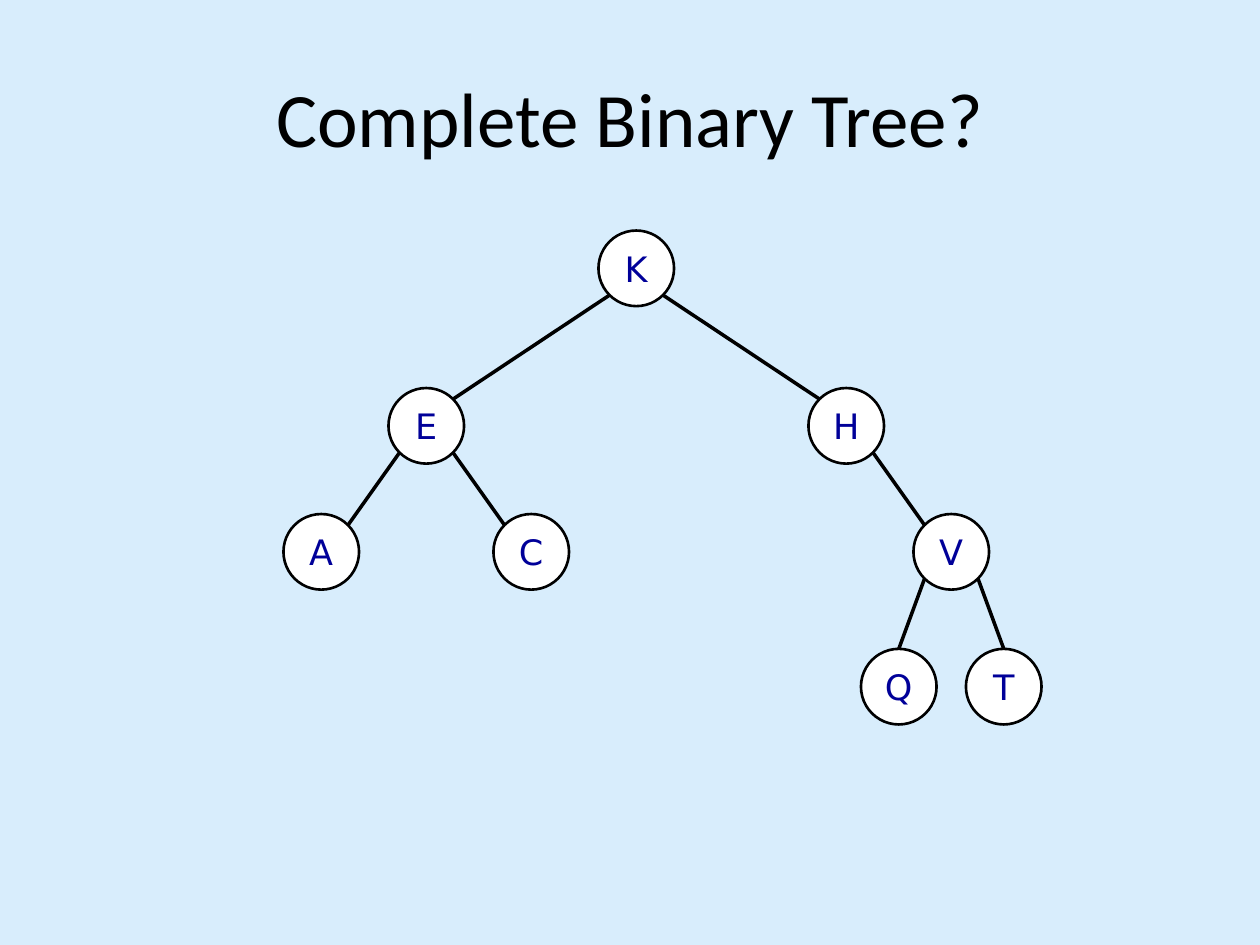
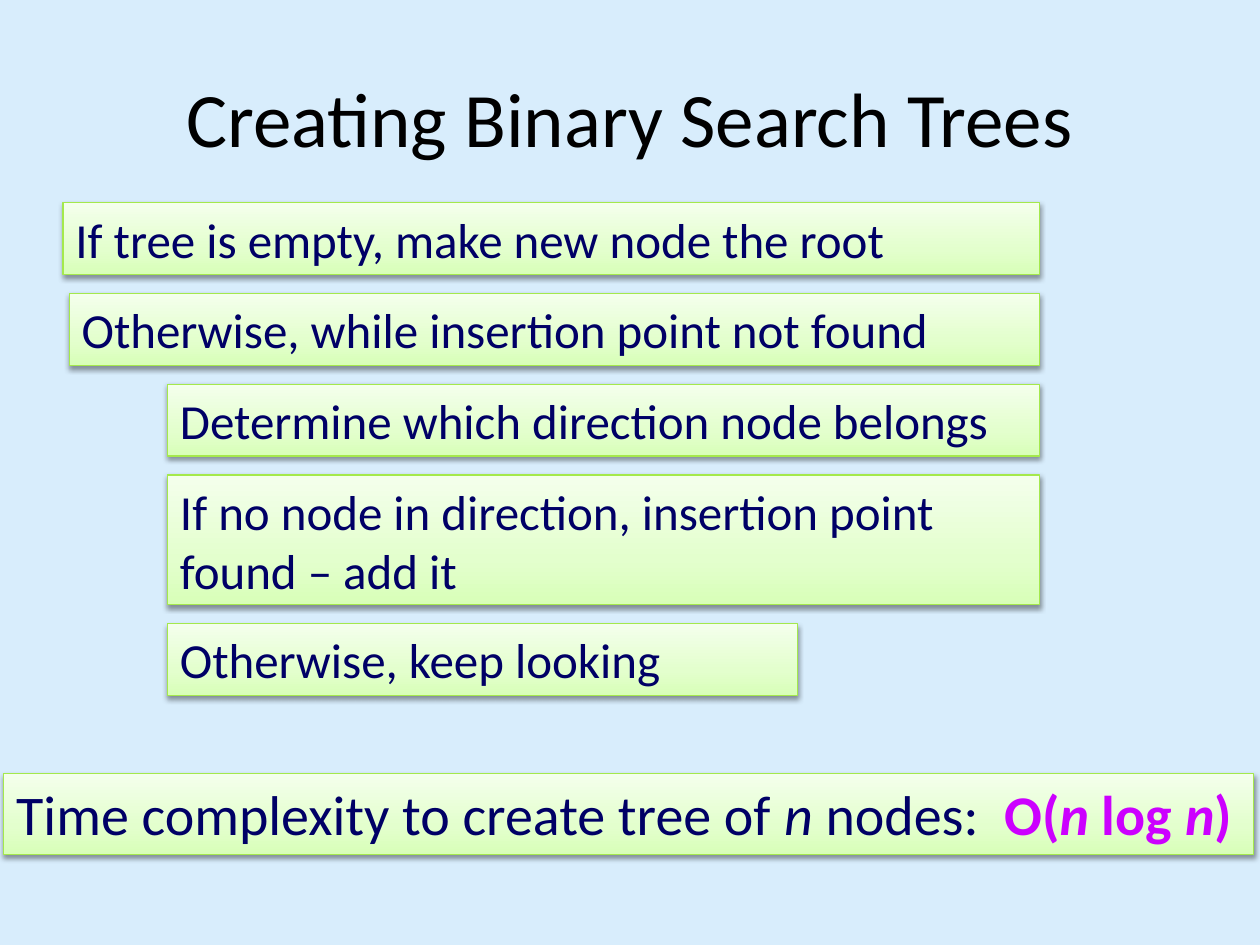
"""Build two slides on binary trees: a sample tree and the steps that create a search tree."""
from lxml.etree import SubElement
from pptx import Presentation
from pptx.dml.color import RGBColor
from pptx.enum.shapes import MSO_CONNECTOR, MSO_SHAPE
from pptx.enum.text import MSO_ANCHOR, MSO_AUTO_SIZE, PP_ALIGN
from pptx.oxml.ns import qn
from pptx.util import Inches, Pt

SKY = RGBColor(0xD8, 0xED, 0xFC)
BLACK = RGBColor(0x00, 0x00, 0x00)
WHITE = RGBColor(0xFF, 0xFF, 0xFF)
BLUE = RGBColor(0x00, 0x00, 0x99)
NAVY = RGBColor(0x00, 0x00, 0x66)
MAGENTA = RGBColor(0xCC, 0x00, 0xFF)
LIME = RGBColor(0xA4, 0xE9, 0x4C)
GREEN_STOPS = [
    (0, RGBColor(0xD8, 0xFF, 0xB8)),
    (35, RGBColor(0xE3, 0xFF, 0xCD)),
    (100, RGBColor(0xF4, 0xFF, 0xEC)),
]
TEXT_FONT = "Calibri"
NODE_FONT = "DejaVu Sans"

deck = Presentation()
deck.slide_width = Inches(10)
deck.slide_height = Inches(7.5)


def add_page(title):
    """Add a slide with the shared background and title."""
    page = deck.slides.add_slide(deck.slide_layouts[6])
    page.background.fill.solid()
    page.background.fill.fore_color.rgb = SKY
    box = page.shapes.add_textbox(Inches(0.5), Inches(0.3), Inches(9), Inches(1.25))
    frame = box.text_frame
    frame.word_wrap = True
    frame.vertical_anchor = MSO_ANCHOR.MIDDLE
    frame.text = title
    para = frame.paragraphs[0]
    para.alignment = PP_ALIGN.CENTER
    para.font.name = TEXT_FONT
    para.font.size = Pt(44)
    para.font.color.rgb = BLACK
    return page


def add_step(page, left, top, width, height, size, spans):
    """Add a green box whose spans are (text, italic, highlighted)."""
    box = page.shapes.add_shape(
        MSO_SHAPE.RECTANGLE, Inches(left), Inches(top), Inches(width), Inches(height))
    box.fill.gradient()
    box.fill.gradient_angle = 90
    stops = box.fill._fill._gradFill.find(qn("a:gsLst"))
    for stop in list(stops):
        stops.remove(stop)
    for percent, color in GREEN_STOPS:
        stop = SubElement(stops, qn("a:gs"), pos=str(percent * 1000))
        SubElement(stop, qn("a:srgbClr"), val=str(color))
    box.line.color.rgb = LIME
    box.line.width = Pt(0.75)
    box.shadow.inherit = False
    effects = box._element.spPr.find(qn("a:effectLst"))
    shadow = SubElement(effects, qn("a:outerShdw"), blurRad=str(Pt(3.1)),
                        dist=str(Pt(1.6)), dir="5400000", rotWithShape="0")
    shade = SubElement(shadow, qn("a:srgbClr"), val=str(BLACK))
    SubElement(shade, qn("a:alpha"), val="38000")
    frame = box.text_frame
    frame.word_wrap = True
    frame.auto_size = MSO_AUTO_SIZE.SHAPE_TO_FIT_TEXT
    frame.vertical_anchor = MSO_ANCHOR.TOP
    para = frame.paragraphs[0]
    para.alignment = PP_ALIGN.LEFT
    for text, italic, highlighted in spans:
        span = para.add_run()
        span.text = text
        span.font.name = TEXT_FONT
        span.font.size = Pt(size)
        span.font.italic = italic
        span.font.bold = highlighted
        span.font.color.rgb = MAGENTA if highlighted else NAVY


tree_page = add_page("Complete Binary Tree?")
COLUMN = 10 / 24
FIRST_COLUMN = 2.55
ROWS = [2.13, 3.38, 4.38, 5.45]
RADIUS = 0.3
DIAGONAL = RADIUS * 0.5 ** 0.5
nodes = {"K": (6, 0), "V": (12, 2), "H": (10, 1), "E": (2, 1),
         "C": (4, 2), "A": (0, 2), "Q": (11, 3), "T": (13, 3)}
edges = ["KE", "KH", "EA", "EC", "HV", "VQ", "VT"]
centers = {name: (FIRST_COLUMN + column * COLUMN, ROWS[row])
           for name, (column, row) in nodes.items()}
tree = tree_page.shapes.add_group_shape()

for name, (x, y) in centers.items():
    node = tree.shapes.add_shape(MSO_SHAPE.OVAL, Inches(x - RADIUS), Inches(y - RADIUS),
                                 Inches(2 * RADIUS), Inches(2 * RADIUS))
    node.shadow.inherit = False
    node.fill.solid()
    node.fill.fore_color.rgb = WHITE
    node.line.color.rgb = BLACK
    node.line.width = Pt(1.5)
    frame = node.text_frame
    frame.margin_left = frame.margin_right = 0
    frame.vertical_anchor = MSO_ANCHOR.MIDDLE
    frame.text = name
    para = frame.paragraphs[0]
    para.alignment = PP_ALIGN.CENTER
    para.font.name = NODE_FONT
    para.font.size = Pt(20)
    para.font.color.rgb = BLUE

for parent, child in edges:
    parent_x, parent_y = centers[parent]
    child_x, child_y = centers[child]
    side = 1 if child_x > parent_x else -1
    if child_y == ROWS[-1]:
        end_x, end_y = child_x, child_y - RADIUS
    else:
        end_x, end_y = child_x - side * DIAGONAL, child_y - DIAGONAL
    branch = tree.shapes.add_connector(
        MSO_CONNECTOR.STRAIGHT, Inches(parent_x + side * DIAGONAL),
        Inches(parent_y + DIAGONAL), Inches(end_x), Inches(end_y))
    branch.line.color.rgb = BLACK
    branch.line.width = Pt(2)
    SubElement(branch._element.spPr, qn("a:effectLst"))

steps_page = add_page("Creating Binary Search Trees")
STEP_GAP = 0.15
INDENT = 1.33
RIGHT_EDGE = 8.25
steps = [
    ("If tree is empty, make new node the root", 0.5, RIGHT_EDGE, 0.57),
    ("Otherwise, while insertion point not found", 0.55, RIGHT_EDGE, 0.57),
    ("Determine which direction node belongs", INDENT, RIGHT_EDGE, 0.57),
    ("If no node in direction, insertion point found – add it", INDENT, RIGHT_EDGE, 1.03),
    ("Otherwise, keep looking", INDENT, INDENT + 5, 0.57),
]
top = 1.61
for text, left, right, height in steps:
    add_step(steps_page, left, top, right - left, height, 28, [(text, False, False)])
    top += height + STEP_GAP

add_step(steps_page, 0.03, 6.14, 9.92, 0.64, 32, [
    ("Time complexity to create tree of ", False, False),
    ("n", True, False),
    (" nodes:  ", False, False),
    ("O(", False, True),
    ("n", True, True),
    (" log ", False, True),
    ("n", True, True),
    (")", False, True),
])

deck.save("out.pptx")
